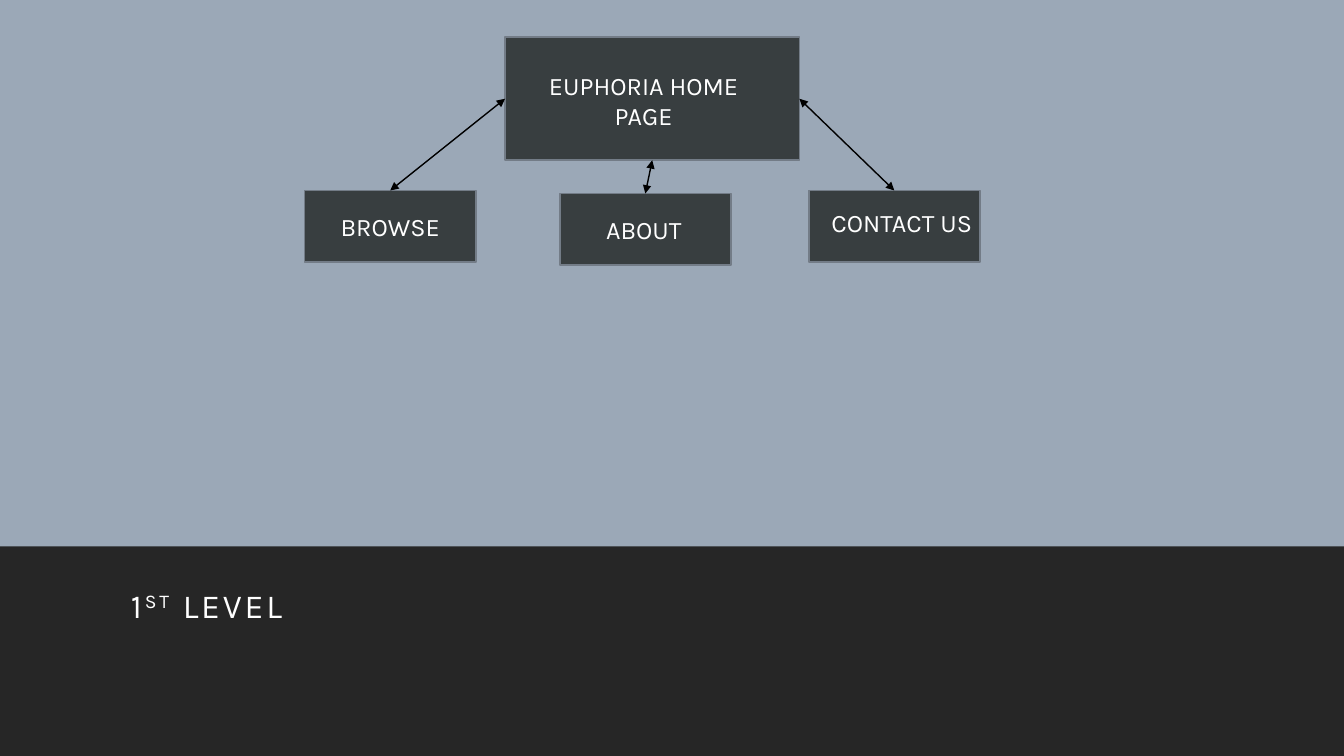
from lxml import etree
from pptx import Presentation, util as u
from pptx.dml.color import RGBColor
from pptx.enum import shapes, text
from pptx.oxml.ns import qn

WIDTH, HEIGHT = u.Inches(13.33), u.Inches(7.5)
SKY, CHARCOAL, SLATE, EDGE = "9BA8B7", "262626", "383E40", "737C87"
WHITE, BLACK = "FFFFFF", "000000"
TOP, LEFT, BOTTOM, RIGHT = range(4)
PANEL_TOP = 72.27
LABEL_WIDTH = 16.28

HOME = ("EUPHORIA HOME PAGE", (37.58, 4.93, 21.9, 16.27), (-0.64, 0.33), 9.47)
CHILDREN = [
    ("BROWSE", (22.66, 25.2, 12.75, 9.47), (0, 0), 5.33),
    ("ABOUT", (41.64, 25.6, 12.75, 9.47), (-0.11, 0), 5.33),
    ("CONTACT US", (60.17, 25.2, 12.75, 9.47), (0.56, -0.47), 5.33),
]
HOME_SIDES = [LEFT, BOTTOM, RIGHT]


def color(value):
    """Turn a hex string into a colour."""
    return RGBColor.from_string(value)


def place(box):
    """Turn percent shares of the slide into left, top, width and height."""
    return [int(size * share / 100)
            for size, share in zip((WIDTH, HEIGHT) * 2, box)]


def add_rect(page, box, fill, edge=None):
    """Add a flat rectangle with an optional outline."""
    rect = page.shapes.add_shape(shapes.MSO_SHAPE.RECTANGLE, *place(box))
    rect.shadow.inherit = False
    rect.fill.solid()
    rect.fill.fore_color.rgb = color(fill)
    if edge:
        rect.line.color.rgb = color(edge)
        rect.line.width = u.Pt(1.25)
    else:
        rect.line.fill.background()
    return rect


def add_text(page, box, pieces, size):
    """Add a wrapping text box made of white runs and return its paragraph and runs."""
    frame = page.shapes.add_textbox(*place(box)).text_frame
    frame.word_wrap = True
    para = frame.paragraphs[0]
    spans = []
    for piece in pieces:
        span = para.add_run()
        span.text = piece
        span.font.size = u.Pt(size)
        span.font.name = "Karla"
        span.font.color.rgb = color(WHITE)
        spans.append(span)
    return para, spans


def add_node(page, origin, node):
    """Add a page box of the site map with its centred label."""
    label, (left, top, width, height), (shift_x, shift_y), label_height = node
    left, top = left + origin[0], top + origin[1]
    rect = add_rect(page, (left, top, width, height), SLATE, EDGE)
    label_box = (left + (width - LABEL_WIDTH) / 2 + shift_x,
                 top + (height - label_height) / 2 + shift_y,
                 LABEL_WIDTH, label_height)
    para, _ = add_text(page, label_box, [label], 18)
    para.alignment = text.PP_ALIGN.CENTER
    return rect


def add_arrow(page, start, start_side, end, end_side):
    """Join two boxes with a double-headed arrow."""
    arrow = page.shapes.add_connector(shapes.MSO_CONNECTOR.STRAIGHT, 0, 0, 0, 0)
    arrow.begin_connect(start, start_side)
    arrow.end_connect(end, end_side)
    arrow.line.color.rgb = color(BLACK)
    arrow.line.width = u.Pt(1)
    line = arrow.line._get_or_add_ln()
    for tag in ("a:headEnd", "a:tailEnd"):
        etree.SubElement(line, qn(tag), type="triangle")
    etree.SubElement(arrow._element.spPr, qn("a:effectLst"))


def add_site_map(page, box):
    """Draw the home page, its child pages and the arrows between them."""
    home = add_node(page, box[:2], HOME)
    children = [add_node(page, box[:2], child) for child in CHILDREN]
    for child, side in zip(children, HOME_SIDES):
        add_arrow(page, home, side, child, TOP)


def add_caption(page, box):
    """Draw the dark panel with the level title."""
    add_rect(page, box, CHARCOAL)
    title_box = (box[0] + 9, box[1] + 3.87, 82.5, 16.67)
    para, spans = add_text(page, title_box, ["1", "ST", " LEVEL"], 24)
    para.line_spacing = 1.1
    para.space_after = u.Pt(2)
    for span in spans:
        span.font._element.set("spc", "200")
    spans[1].font._element.set("baseline", "30000")


def main():
    """Build and save the deck."""
    deck = Presentation()
    deck.slide_width, deck.slide_height = WIDTH, HEIGHT
    page = deck.slides.add_slide(deck.slide_layouts[6])
    add_rect(page, (0, 0, 100, 100), SKY)
    add_caption(page, (0, PANEL_TOP, 100, 100 - PANEL_TOP))
    add_site_map(page, (0, 0, 100, PANEL_TOP))
    deck.save("out.pptx")


if __name__ == "__main__":
    main()
